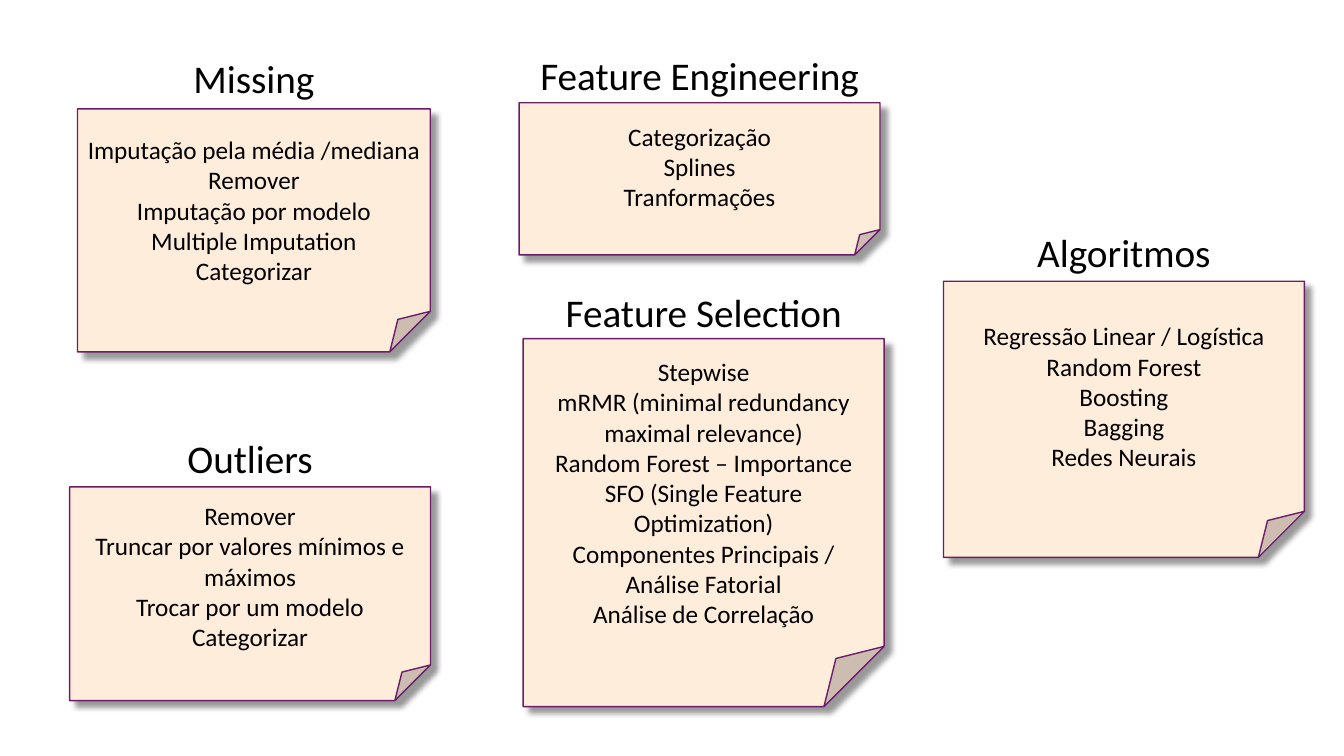
from lxml import etree
from pptx import Presentation
from pptx import util as u
from pptx.dml.color import RGBColor
from pptx.enum import shapes, text
from pptx.oxml import ns

COLOURS = {"paper": "FFEDDC", "edge": "6C1D6A", "ink": "000000", "shadow": "000000"}
FONT = "Calibri"
TITLE_HEIGHT = 41.2

NOTES = [
    ("Missing", 35.3, (55.4, 77.8, 252, 173.5), [
        "Imputação pela média /mediana",
        "Remover",
        "Imputação por modelo",
        "Multiple Imputation",
        "Categorizar",
    ]),
    ("Outliers", 306.7, (49.7, 347.8, 257.8, 152.6), [
        "Remover",
        "Truncar por valores mínimos e máximos",
        "Trocar por um modelo",
        "Categorizar",
    ]),
    ("Feature Selection", 202.3, (373.7, 241.9, 257.8, 262.8), [
        "Stepwise",
        "mRMR (minimal redundancy maximal relevance)",
        "Random Forest – Importance",
        "SFO (Single Feature Optimization)",
        "Componentes Principais / Análise Fatorial",
        "Análise de Correlação",
    ]),
    ("Feature Engineering", 33.1, (370.8, 73.4, 257.8, 108.7), [
        "Categorização",
        "Splines",
        "Tranformações",
    ]),
    ("Algoritmos", 159.8, (673.9, 200.9, 257.8, 197.3), [
        "Regressão Linear / Logística",
        "Random Forest",
        "Boosting",
        "Bagging",
        "Redes Neurais",
    ]),
]


def colour(name):
    """Return the named colour."""
    return RGBColor.from_string(COLOURS[name])


def write(box, lines, size, anchor):
    """Fill a shape with centred paragraphs."""
    frame = box.text_frame
    frame.word_wrap = True
    frame.vertical_anchor = anchor
    for index, line in enumerate(lines):
        para = frame.add_paragraph() if index else frame.paragraphs[0]
        para.alignment = text.PP_ALIGN.CENTER
        span = para.add_run()
        span.text = line
        span.font.name = FONT
        span.font.size = u.Pt(size)
        span.font.color.rgb = colour("ink")


def cast_shadow(box, blur, distance, angle, opacity):
    """Give a shape an outer shadow."""
    box.shadow.inherit = False
    effects = box._element.spPr.find(ns.qn("a:effectLst"))
    shadow = etree.SubElement(effects, ns.qn("a:outerShdw"), {
        "blurRad": str(u.Pt(blur)),
        "dist": str(u.Pt(distance)),
        "dir": str(angle * 60000),
        "algn": "tl",
        "rotWithShape": "0",
    })
    tone = etree.SubElement(shadow, ns.qn("a:srgbClr"), val=COLOURS["shadow"])
    etree.SubElement(tone, ns.qn("a:alpha"), val=str(opacity * 1000))


def add_title(page, title, left, top, width):
    """Add the heading above a note."""
    box = page.shapes.add_textbox(*map(u.Pt, (left, top, width, TITLE_HEIGHT)))
    write(box, [title], 28, text.MSO_ANCHOR.TOP)
    box.text_frame.auto_size = text.MSO_AUTO_SIZE.SHAPE_TO_FIT_TEXT


def add_note(page, place, lines):
    """Add a sheet with a folded corner."""
    box = page.shapes.add_shape(shapes.MSO_SHAPE.FOLDED_CORNER, *map(u.Pt, place))
    box.fill.solid()
    box.fill.fore_color.rgb = colour("paper")
    box.line.color.rgb = colour("edge")
    box.line.width = u.Pt(1)
    cast_shadow(box, blur=4, distance=6, angle=45, opacity=40)
    write(box, lines, 18, text.MSO_ANCHOR.MIDDLE)


def main():
    """Build the slide and save the deck."""
    deck = Presentation()
    deck.slide_width, deck.slide_height = u.Pt(960), u.Pt(540)
    page = deck.slides.add_slide(deck.slide_layouts[6])
    for title, title_top, place, lines in NOTES:
        left, _, width, _ = place
        add_note(page, place, lines)
        add_title(page, title, left, title_top, width)
    deck.save("out.pptx")


if __name__ == "__main__":
    main()
